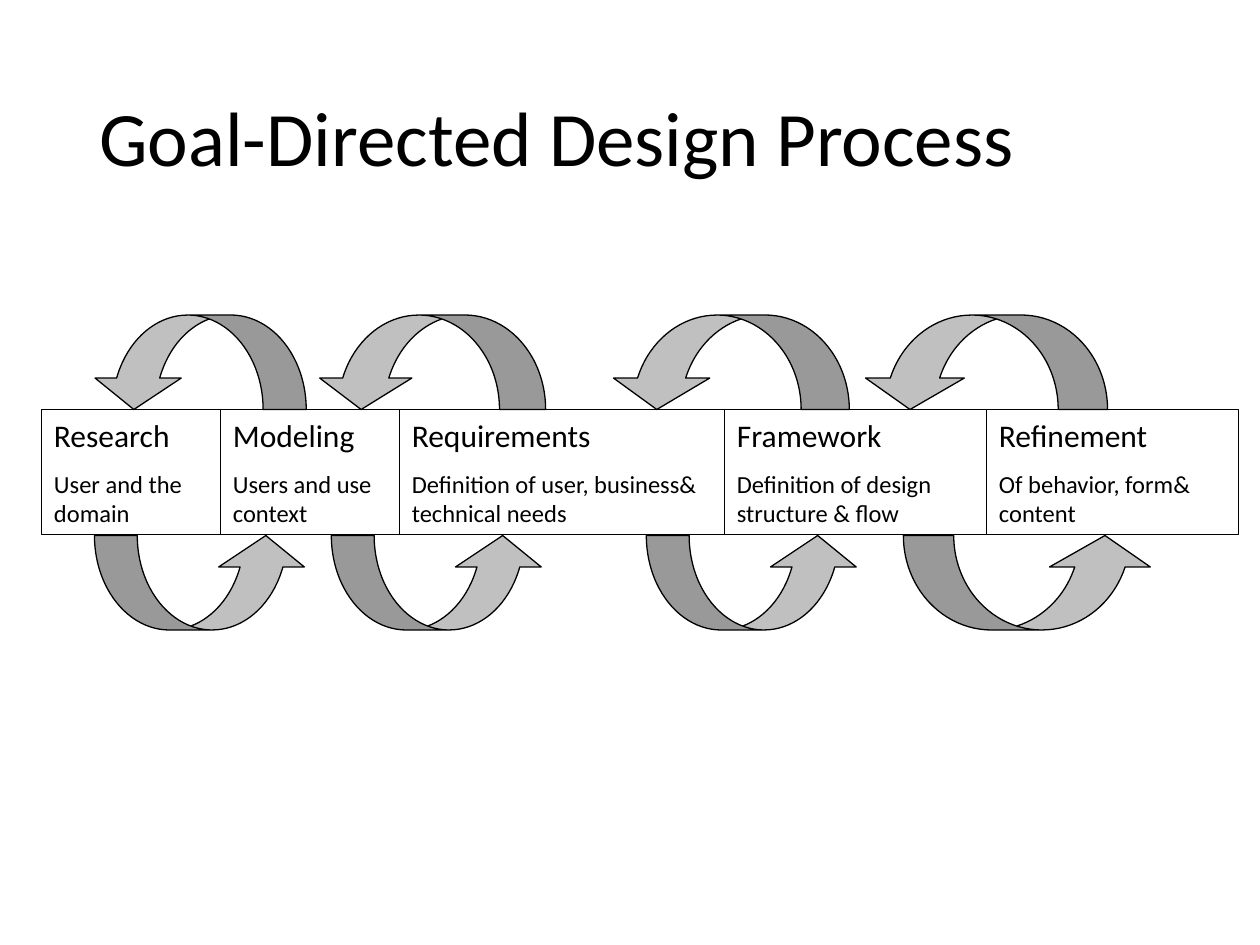
from dataclasses import dataclass

from pptx import Presentation
from pptx.dml.color import RGBColor
from pptx.enum.shapes import MSO_SHAPE as Preset
from pptx.enum.text import MSO_ANCHOR as Anchor, PP_ALIGN as Align
from pptx.util import Inches, Pt

COLORS = {"ink": "000000", "arrow": "C0C0C0"}
FONT = "Calibri"
BAND_TOP, BAND_HEIGHT = 3.25, 0.99
ARROW_HEIGHT, HEAD_LENGTH = 0.75, 0.25
TAIL_SHARE, HEAD_SHARE = 0.2, 0.4


@dataclass
class Phase:
    name: str
    summary: str
    width: float


@dataclass
class Loop:
    left: float
    width: float


PHASES = [
    Phase("Research", "User and the domain", 1.42),
    Phase("Modeling", "Users and use context", 1.42),
    Phase("Requirements", "Definition of user, business& technical needs", 2.58),
    Phase("Framework", "Definition of design structure & flow", 2.08),
    Phase("Refinement", "Of behavior, form& content", 2),
]
FORWARD_LOOPS = [Loop(0.75, 1.7), Loop(2.63, 1.7), Loop(5.13, 1.7), Loop(7.17, 2)]
BACK_LOOPS = [Loop(6.83, 1.96), Loop(4.83, 1.91), Loop(2.5, 1.83), Loop(0.72, 1.71)]


def color(key: str) -> RGBColor:
    return RGBColor.from_string(COLORS[key])


def write(paragraph, text: str, size: float, **spacing) -> None:
    paragraph.text = text
    for attribute, value in {"alignment": Align.LEFT, **spacing}.items():
        setattr(paragraph, attribute, value)
    for attribute, value in {"name": FONT, "size": Pt(size)}.items():
        setattr(paragraph.font, attribute, value)
    paragraph.font.color.rgb = color("ink")


def outline(shape) -> None:
    shape.shadow.inherit = False
    shape.line.color.rgb = color("ink")
    shape.line.width = Pt(0.75)


def add_heading(slide, text: str) -> None:
    heading = slide.shapes.add_textbox(Inches(0.69), Inches(0.4), Inches(8.63), Inches(1.45))
    heading.text_frame.word_wrap = True
    heading.text_frame.vertical_anchor = Anchor.MIDDLE
    write(heading.text_frame.paragraphs[0], text, 44, line_spacing=0.9)


def add_phase(slide, phase: Phase, left: float) -> None:
    box = slide.shapes.add_shape(
        Preset.RECTANGLE, Inches(left), Inches(BAND_TOP), Inches(phase.width), Inches(BAND_HEIGHT)
    )
    outline(box)
    box.fill.background()
    frame = box.text_frame
    layout = {
        "word_wrap": True,
        "vertical_anchor": Anchor.TOP,
        "margin_left": Inches(0.1),
        "margin_right": Inches(0.1),
        "margin_top": Inches(0.05),
        "margin_bottom": Inches(0.05),
    }
    for attribute, value in layout.items():
        setattr(frame, attribute, value)
    write(frame.paragraphs[0], phase.name, 18)
    write(frame.add_paragraph(), phase.summary, 14, space_before=Pt(8.8))


def add_loop(slide, loop: Loop, top: float, rotation: float) -> None:
    arrow = slide.shapes.add_shape(
        Preset.CURVED_UP_ARROW, Inches(loop.left), Inches(top), Inches(loop.width), Inches(ARROW_HEIGHT)
    )
    outline(arrow)
    arrow.fill.solid()
    arrow.fill.fore_color.rgb = color("arrow")
    arrow.rotation = rotation
    parts = [loop.width * TAIL_SHARE, loop.width * HEAD_SHARE, HEAD_LENGTH]
    for index, length in enumerate(parts):
        arrow.adjustments[index] = length / ARROW_HEIGHT


def main() -> None:
    deck = Presentation()
    deck.slide_width, deck.slide_height = Inches(10), Inches(7.5)
    slide = deck.slides.add_slide(deck.slide_layouts[6])
    add_heading(slide, "Goal-Directed Design Process")
    left = 0.33
    for phase in PHASES:
        add_phase(slide, phase, left)
        left += phase.width
    for loop in FORWARD_LOOPS:
        add_loop(slide, loop, BAND_TOP + 1, 0)
    for loop in BACK_LOOPS:
        add_loop(slide, loop, BAND_TOP - ARROW_HEIGHT, 180)
    deck.save("out.pptx")


if __name__ == "__main__":
    main()
